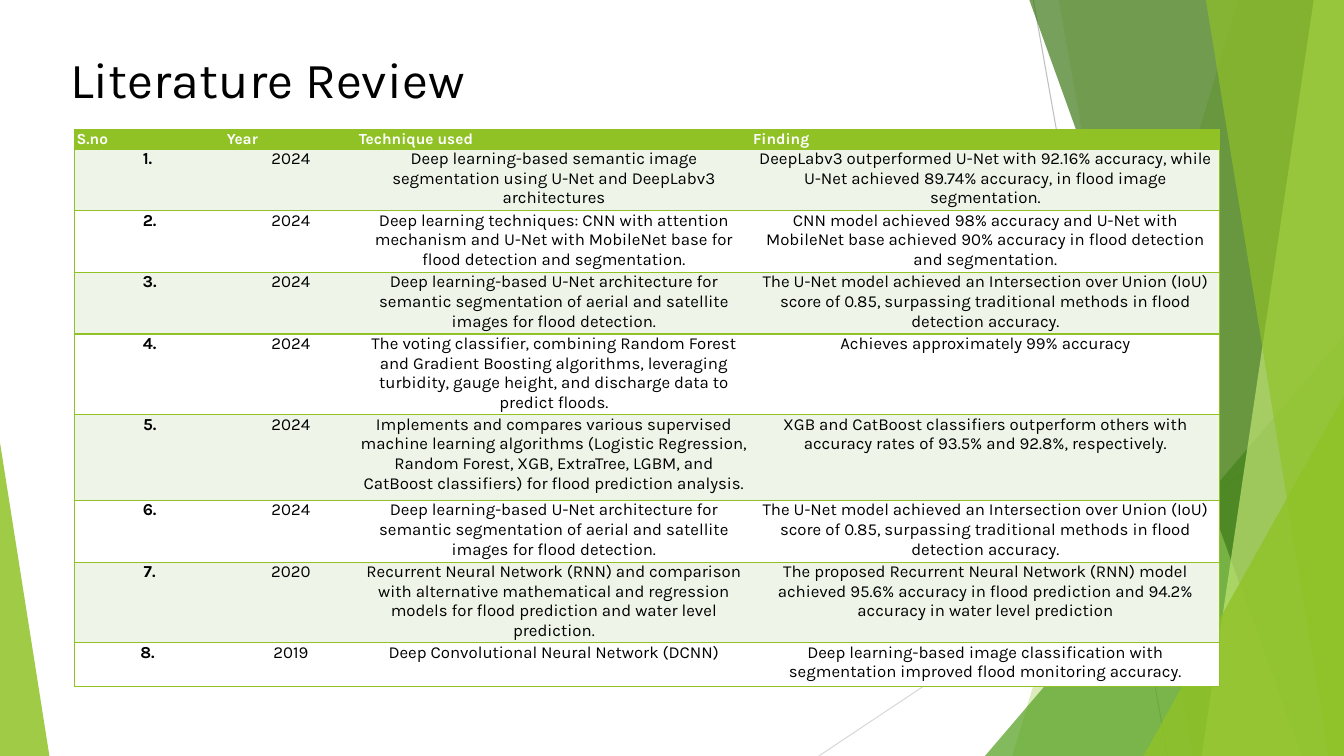
import collections

import lxml.etree
import pptx
import pptx.dml.color
import pptx.enum.shapes
import pptx.enum.text
import pptx.oxml.ns
import pptx.util

Box = collections.namedtuple("Box", "left top width height")

COLORS = {
    "green": "90C226", "leaf": "54A021", "forest": "3F7819", "lime": "C0E474",
    "band": "EEF4E8", "white": "FFFFFF", "black": "000000",
    "rule": "BFBFBF", "faint": "D9D9D9",
}
FONT = "Karla"
COLUMNS = (1.49, 1.31, 3.91, 4.65)
ROWS = (0.19, 0.61, 0.61, 0.61, 0.8, 0.85, 0.61, 0.8, 0.43)
HEADINGS = ("S.no", "Year", "Technique used", "Finding")
UNET_STUDY = (
    "Deep learning-based U-Net architecture for semantic segmentation of aerial and satellite images for flood detection.",
    "The U-Net model achieved an Intersection over Union (IoU) score of 0.85, surpassing traditional methods in flood detection accuracy.",
)
STUDIES = (
    ("1. ", "2024",
     "Deep learning-based semantic image segmentation using U-Net and DeepLabv3 architectures",
     "DeepLabv3 outperformed U-Net with 92.16% accuracy, while U-Net achieved 89.74% accuracy, in flood image segmentation."),
    ("2.", "2024",
     "Deep learning techniques: CNN with attention mechanism and U-Net with MobileNet base for flood detection and segmentation.",
     "CNN model achieved 98% accuracy and U-Net with MobileNet base achieved 90% accuracy in flood detection and segmentation."),
    ("3.", "2024", *UNET_STUDY),
    ("4.", "2024",
     "The voting classifier, combining Random Forest and Gradient Boosting algorithms, leveraging turbidity, gauge height, and discharge data to predict floods.",
     "Achieves approximately 99% accuracy"),
    ("5.", "2024",
     "Implements and compares various supervised machine learning algorithms (Logistic Regression, Random Forest, XGB, ExtraTree, LGBM, and CatBoost classifiers) for flood prediction analysis.",
     "XGB and CatBoost classifiers outperform others with accuracy rates of 93.5% and 92.8%, respectively."),
    ("6.", "2024", *UNET_STUDY),
    ("7.", "2020",
     "Recurrent Neural Network (RNN) and comparison with alternative mathematical and regression models for flood prediction and water level prediction.",
     "The proposed Recurrent Neural Network (RNN) model achieved 95.6% accuracy in flood prediction and 94.2% accuracy in water level prediction"),
    ("8. ", "2019",
     "Deep Convolutional Neural Network (DCNN)",
     "Deep learning-based image classification with segmentation improved flood monitoring accuracy."),
)


def color(name):
    """Return the named colour."""
    return pptx.dml.color.RGBColor.from_string(COLORS[name])


def point(box, across, down):
    """Return a position given in percent of a box."""
    return int(box.left + box.width * across / 100), int(box.top + box.height * down / 100)


def part(box, left, top, width, height):
    """Return a smaller box given in percent of a box."""
    return Box(*point(box, left, top), int(box.width * width / 100), int(box.height * height / 100))


def element(parent, tag, **attributes):
    """Append a drawing element to a parent."""
    return lxml.etree.SubElement(parent, pptx.oxml.ns.qn(tag), **attributes)


def paint(shape, name, opacity):
    """Fill a shape with a see-through colour and no outline."""
    shape.shadow.inherit = False
    shape.line.fill.background()
    shape.fill.solid()
    shape.fill.fore_color.rgb = color(name)
    tint = shape.fill._xPr.find(".//" + pptx.oxml.ns.qn("a:srgbClr"))
    element(tint, "a:alpha", val=str(opacity * 1000))


def add_span(para, text, size, name, bold=False):
    """Add a formatted run to a paragraph."""
    span = para.add_run()
    span.text = text
    span.font.name = FONT
    span.font.size = pptx.util.Pt(size)
    span.font.bold = bold
    span.font.color.rgb = color(name)


def add_ray(page, box, start, end, name):
    """Draw a thin line across the box."""
    ray = page.shapes.add_connector(
        pptx.enum.shapes.MSO_CONNECTOR.STRAIGHT, *point(box, *start), *point(box, *end))
    ray.line.color.rgb = color(name)
    ray.line.width = pptx.util.Pt(0.75)
    element(ray._element.spPr, "a:effectLst")


def add_facet(page, box, top_edge, bottom_edge, name, opacity):
    """Draw a full-height facet that ends at the right side of the box."""
    corners = [point(box, *corner) for corner in
               ((top_edge, 0), (100, 0), (100, 100), (bottom_edge, 100))]
    outline = page.shapes.build_freeform(*corners[0])
    outline.add_line_segments(corners[1:], close=True)
    paint(outline.convert_to_shape(), name, opacity)


def add_wedge(page, box, apex, name, opacity):
    """Draw a triangle that fills the box."""
    wedge = page.shapes.add_shape(pptx.enum.shapes.MSO_SHAPE.ISOSCELES_TRIANGLE, *box)
    wedge.adjustments[0] = apex
    paint(wedge, name, opacity)


def add_backdrop(page, box):
    """Draw the green facets at both sides of the box."""
    add_ray(page, box, (76.89, 0), (86.87, 100), "rule")
    add_ray(page, box, (100, 53.73), (60.92, 100), "faint")
    add_facet(page, box, 92.12, 75.32, "green", 30)
    add_facet(page, box, 78.77, 88.75, "green", 20)
    add_wedge(page, part(box, 73.29, 44.4, 26.71, 55.6), 1, "leaf", 72)
    add_facet(page, box, 76.59, 96.85, "forest", 70)
    add_facet(page, box, 97.75, 89.42, "lime", 70)
    add_facet(page, box, 89.72, 98.87, "green", 65)
    add_wedge(page, part(box, 85.07, 52.4, 14.93, 47.6), 1, "green", 80)
    add_wedge(page, part(box, 0, 58.53, 3.68, 41.47), 0, "green", 85)


def add_title(page, box, text):
    """Write the slide title at the top of the box."""
    frame = page.shapes.add_textbox(*box).text_frame
    frame.word_wrap = True
    frame.vertical_anchor = pptx.enum.text.MSO_ANCHOR.TOP
    add_span(frame.paragraphs[0], text, 36, "black")


def set_borders(cell, sides):
    """Rule the given sides of a cell and clear the others."""
    for side in "LRTB":
        border = element(cell._tc.get_or_add_tcPr(), "a:ln" + side, w="12700")
        if side in sides:
            element(element(border, "a:solidFill"), "a:srgbClr", val=COLORS["green"])
        else:
            element(border, "a:noFill")


def fill_cell(cell, text, row, column):
    """Style one cell by its place in the table and write its text."""
    header = row == 0
    set_borders(cell, "TB" + {0: "L", len(COLUMNS) - 1: "R"}.get(column, ""))
    cell.fill.solid()
    cell.fill.fore_color.rgb = color("green" if header else "band" if row % 2 else "white")
    cell.margin_top = cell.margin_bottom = 0
    inset = 0.07 if row == len(STUDIES) else 0.02
    cell.margin_left = cell.margin_right = pptx.util.Inches(inset)
    para = cell.text_frame.paragraphs[0]
    para.space_after = pptx.util.Pt(4)
    if header:
        add_span(para, text, 11, "white", True)
    else:
        para.alignment = pptx.enum.text.PP_ALIGN.CENTER
        add_span(para, text, 12, "black", column == 0)


def add_studies(page, box):
    """Lay out the table of studies in the box."""
    table = page.shapes.add_table(len(ROWS), len(COLUMNS), *box).table
    for column, share in zip(table.columns, COLUMNS):
        column.width = int(box.width * share / sum(COLUMNS))
    for row, share in zip(table.rows, ROWS):
        row.height = int(box.height * share / sum(ROWS))
    for row, texts in enumerate((HEADINGS, *STUDIES)):
        for column, text in enumerate(texts):
            fill_cell(table.cell(row, column), text, row, column)


def main():
    """Build and save the deck."""
    deck = pptx.Presentation()
    deck.slide_width = pptx.util.Inches(13.33)
    deck.slide_height = pptx.util.Inches(7.5)
    page = deck.slides.add_slide(deck.slide_layouts[6])
    whole = Box(0, 0, deck.slide_width, deck.slide_height)
    add_backdrop(page, whole)
    add_title(page, part(whole, 4.5, 5.73, 90, 16.67), "Literature Review")
    add_studies(page, part(whole, 5.55, 17.2, 85.22, 73.6))
    deck.save("out.pptx")


if __name__ == "__main__":
    main()
